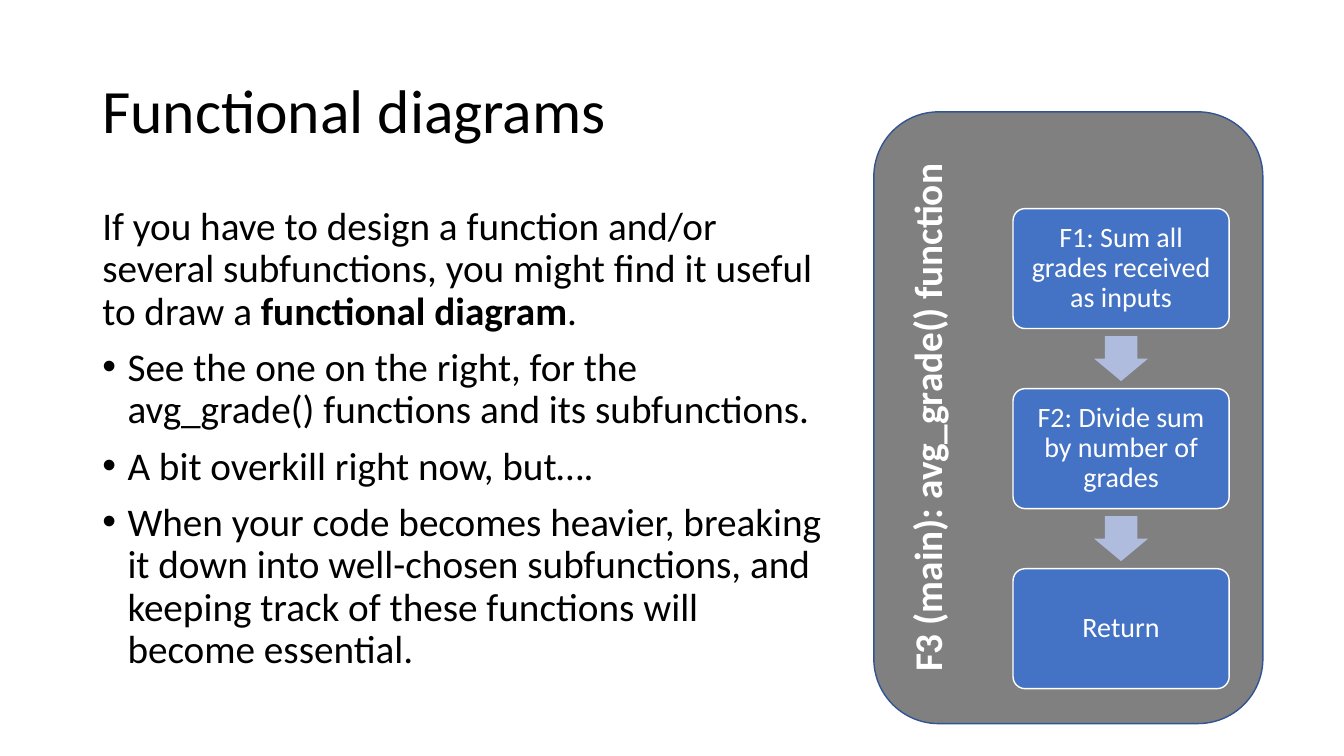
from lxml.etree import SubElement
from pptx import Presentation
from pptx.dml.color import RGBColor
from pptx.enum.shapes import MSO_SHAPE
from pptx.enum.text import MSO_ANCHOR, PP_ALIGN
from pptx.oxml.ns import qn
from pptx.util import Pt

TITLE = "Functional diagrams"
BODY = [
    (False, [("If you have to design a function and/or several subfunctions, "
              "you might find it useful to draw a ", False),
             ("functional diagram", True), (".", False)]),
    (True, [("See the one on the right, for the avg_grade() functions "
             "and its subfunctions.", False)]),
    (True, [("A bit overkill right now, but….", False)]),
    (True, [("When your code becomes heavier, breaking it down into well-chosen "
             "subfunctions, and keeping track of these functions will "
             "become essential.", False)]),
]
MAIN = "F3 (main): avg_grade() function"
STEPS = ["F1: Sum all grades received as inputs",
         "F2: Divide sum by number of grades", "Return"]
LEFT, TOP, WIDE, HIGH, PITCH = 723.6, 149, 154.4, 85.7, 128.6
ARROW_W, ARROW_H = 38.6, 32.2


def color(code):
    return RGBColor.from_string(code)


def style(font, size, code, bold=False):
    font.name = "Calibri"
    font.size = Pt(size)
    font.bold = bold
    font.color.rgb = color(code)


def add_text(slide, *place):
    box = slide.shapes.add_textbox(*map(Pt, place))
    box.text_frame.word_wrap = True
    return box


def add_shape(slide, kind, place, fill, line=None):
    shape = slide.shapes.add_shape(kind, *map(Pt, place))
    shape.shadow.inherit = False
    shape.fill.solid()
    shape.fill.fore_color.rgb = color(fill)
    if line:
        shape.line.color.rgb = color(line)
        shape.line.width = Pt(1)
    else:
        shape.line.fill.background()
    return shape


def add_bullet(para):
    props = para._p.get_or_add_pPr()
    props.set("marL", str(Pt(18)))
    props.set("indent", str(Pt(-18)))
    SubElement(props, qn("a:buFont")).set("typeface", "Arial")
    SubElement(props, qn("a:buChar")).set("char", "•")


def add_body(slide):
    frame = add_text(slide, 66, 144, 529.2, 384.5).text_frame
    for i, (bullet, parts) in enumerate(BODY):
        para = frame.add_paragraph() if i else frame.paragraphs[0]
        para.line_spacing = 0.9
        if i:
            para.space_before = Pt(10)
        if bullet:
            add_bullet(para)
        for words, bold in parts:
            run = para.add_run()
            run.text = words
            style(run.font, 28, "000000", bold)


def add_step(slide, words, top):
    step = add_shape(slide, MSO_SHAPE.ROUNDED_RECTANGLE,
                     (LEFT, top, WIDE, HIGH), "4472C4", "FFFFFF")
    step.adjustments[0] = 0.1
    frame = step.text_frame
    frame.word_wrap = True
    frame.vertical_anchor = MSO_ANCHOR.MIDDLE
    frame.margin_left = frame.margin_right = Pt(5.8)
    frame.margin_top = frame.margin_bottom = Pt(5.8)
    frame.text = words
    para = frame.paragraphs[0]
    para.alignment = PP_ALIGN.CENTER
    para.line_spacing = 0.9
    style(para.runs[0].font, 20, "FFFFFF")


def add_arrow(slide, top):
    left = LEFT + (WIDE - ARROW_W) / 2
    drop = HIGH + (PITCH - HIGH - ARROW_H) / 2
    arrow = add_shape(slide, MSO_SHAPE.DOWN_ARROW,
                      (left, top + drop, ARROW_W, ARROW_H), "B0BCDE")
    arrow.adjustments[0] = 0.6
    arrow.adjustments[1] = 0.5


def main():
    deck = Presentation()
    deck.slide_width, deck.slide_height = Pt(960), Pt(540)
    slide = deck.slides.add_slide(deck.slide_layouts[6])

    add_shape(slide, MSO_SHAPE.ROUNDED_RECTANGLE,
              (624.2, 79.9, 277.9, 437), "808080", "325491")

    frame = add_text(slide, 66, 28.8, 828, 104.4).text_frame
    frame.vertical_anchor = MSO_ANCHOR.MIDDLE
    frame.text = TITLE
    frame.paragraphs[0].line_spacing = 0.9
    style(frame.paragraphs[0].runs[0].font, 44, "000000")

    for i, words in enumerate(STEPS):
        top = TOP + i * PITCH
        add_step(slide, words, top)
        if i < len(STEPS) - 1:
            add_arrow(slide, top)

    label = add_text(slide, 468.7, 277.9, 386.6, 41.2)
    label.rotation = 270
    label.text_frame.text = MAIN
    para = label.text_frame.paragraphs[0]
    para.alignment = PP_ALIGN.CENTER
    style(para.runs[0].font, 28, "FFFFFF", True)

    add_body(slide)
    deck.save("out.pptx")


if __name__ == "__main__":
    main()
